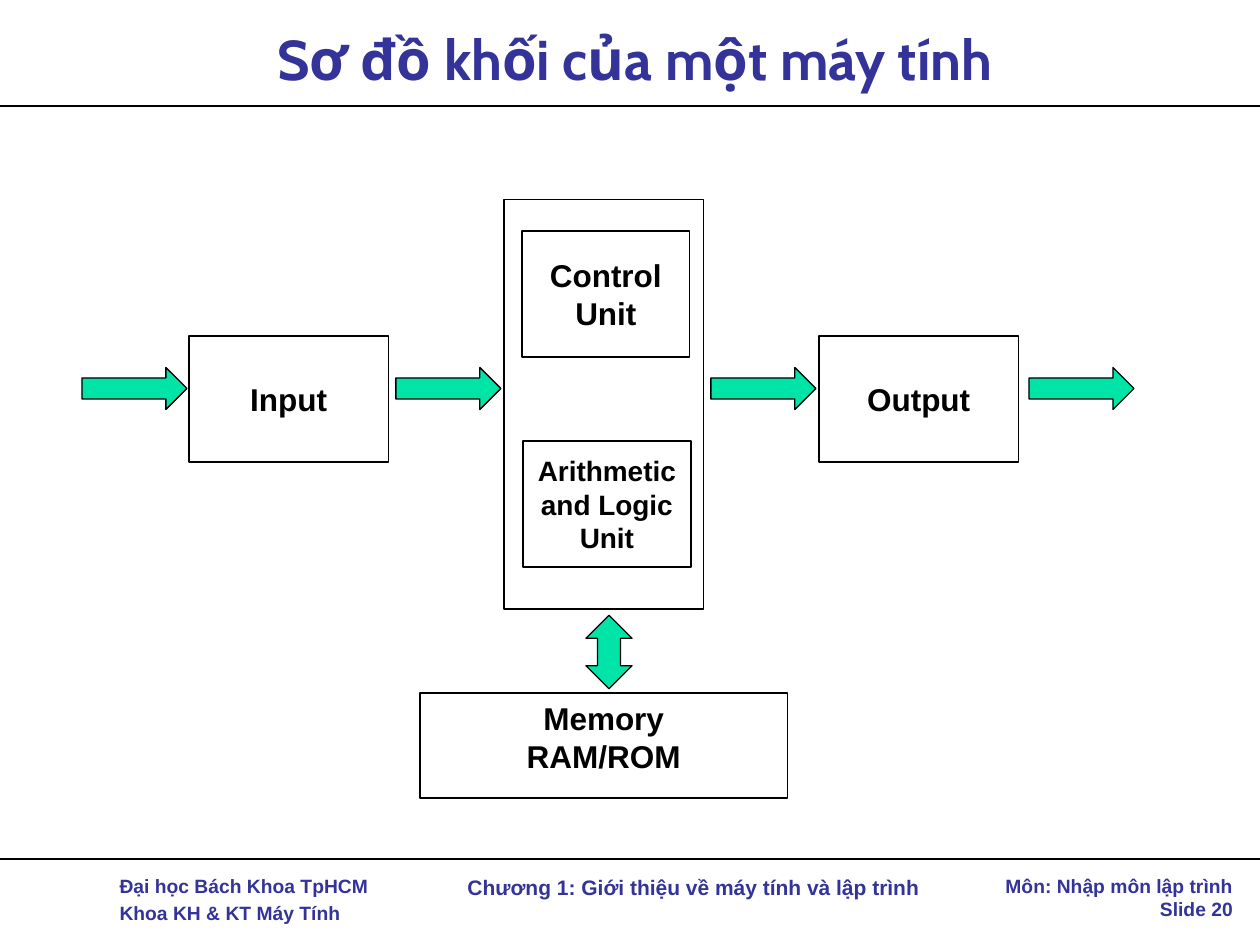
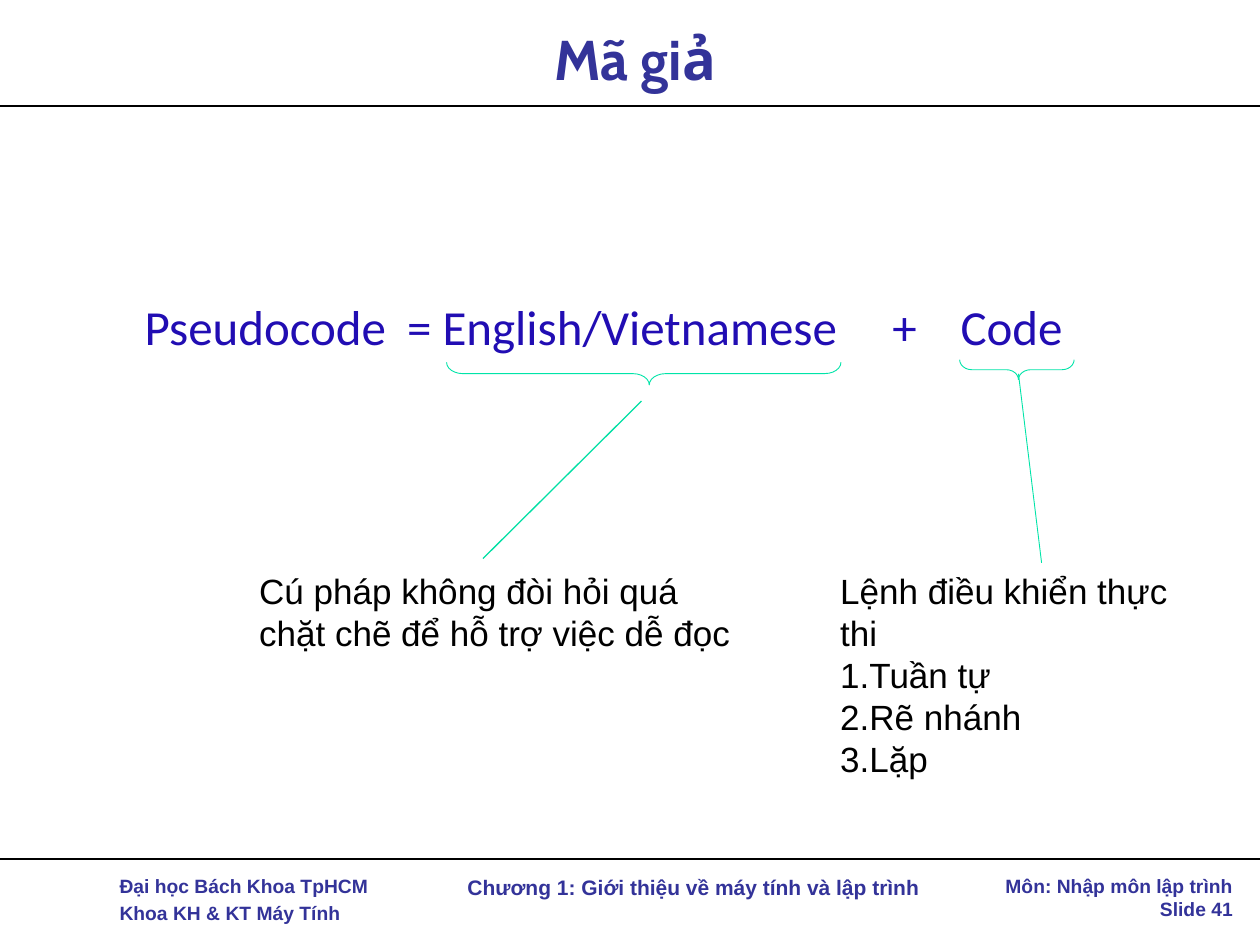
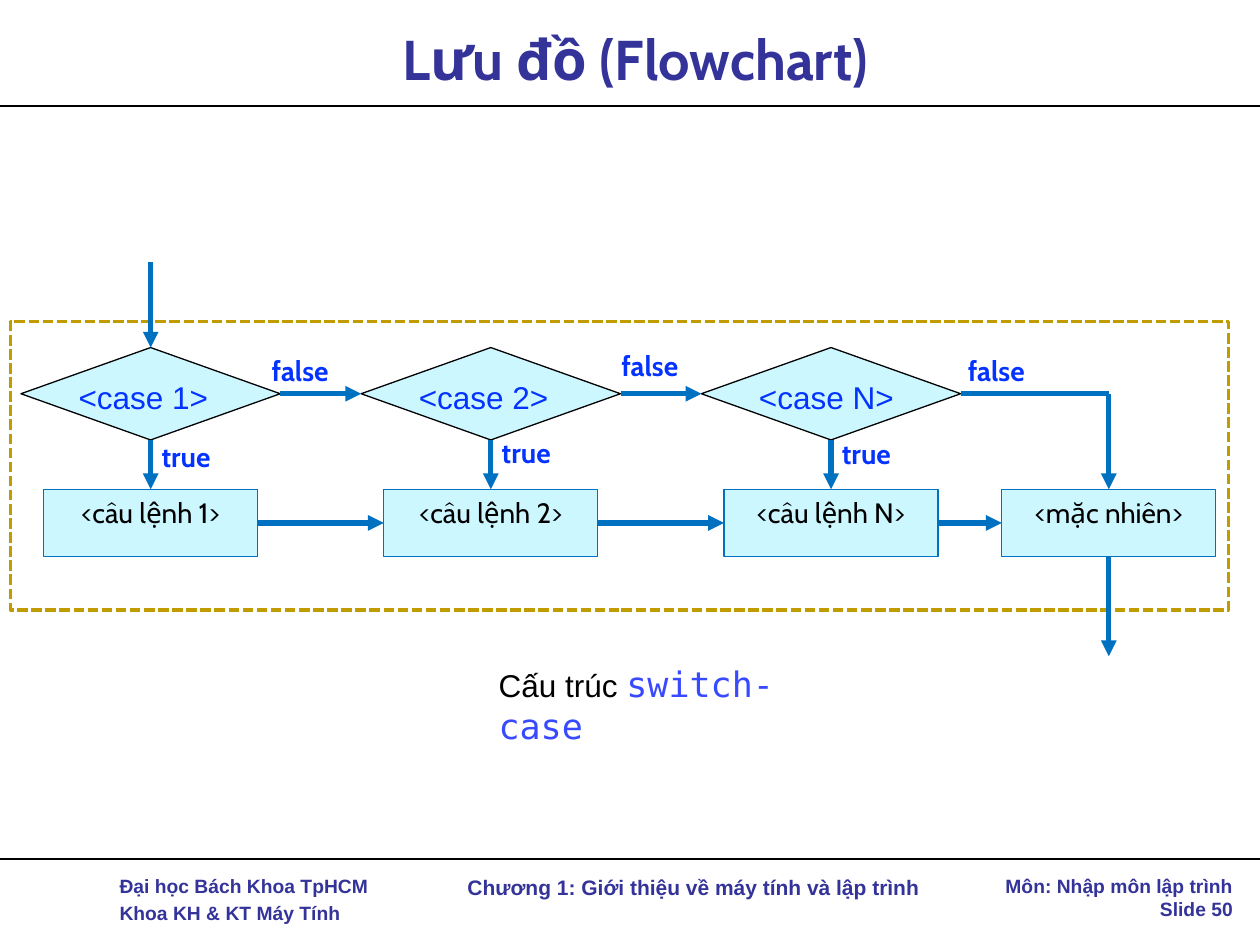
from dataclasses import dataclass

from pptx import Presentation
from pptx.dml.color import RGBColor
from pptx.enum.dml import MSO_LINE
from pptx.enum.shapes import MSO_CONNECTOR, MSO_SHAPE as SHAPE
from pptx.enum.text import MSO_ANCHOR as ANCHOR, PP_ALIGN as ALIGN
from pptx.oxml.ns import qn
from pptx.util import Inches, Pt
from lxml.etree import SubElement

# The slide is a grid of square cells, twelve to the inch
COLS, ROWS = 120, 90
CELL = Inches(1) // 12
TOP, LEFT, BOTTOM, RIGHT = range(4)


@dataclass(frozen=True)
class Style:
    size: float
    font: str
    color: str
    bold: bool = False


@dataclass(frozen=True)
class Theme:
    black: str = "000000"
    white: str = "FFFFFF"
    green: str = "00E4A8"
    deep_green: str = "00DFA4"
    pale_blue: str = "CCF7FF"
    flow_blue: str = "0070C0"
    gold: str = "C09C00"
    title: Style = Style(32, "Cabin", "333399", True)
    footer: Style = Style(11, "Arial", "333399", True)
    chapter: Style = Style(12, "Arial", "333399", True)
    block: Style = Style(18, "Arial", "000000", True)
    small_block: Style = Style(16, "Arial", "000000", True)
    equation: Style = Style(28, "Calibri", "210DB3")
    note: Style = Style(20, "Arial", "000000")
    step: Style = Style(16, "Cabin", "000000")
    branch: Style = Style(16, "Cabin", "0432FF", True)
    case: Style = Style(18, "Arial", "0432FF")
    caption: Style = Style(18, "Arial", "000000")
    code: Style = Style(20, "DejaVu Sans Mono", "384AFF")


THEME = Theme()


@dataclass(frozen=True)
class Box:
    left: float
    top: float
    width: float
    height: float

    def area(self, left, top, width, height):
        return Box(self.left + left, self.top + top, width, height)

    def point(self, across, down):
        return self.left + across, self.top + down

    def emu(self):
        return cells(self.left, self.top, self.width, self.height)


def cells(*counts):
    return [round(count * CELL) for count in counts]


# ---- Basic parts ----
def write(para, text, style):
    span = para.add_run()
    span.text = text
    span.font.size = Pt(style.size)
    span.font.name = style.font
    span.font.bold = style.bold
    span.font.color.rgb = RGBColor.from_string(style.color)


def fill_text(frame, lines, style, align=ALIGN.LEFT, anchor=ANCHOR.TOP):
    frame.word_wrap = True
    frame.vertical_anchor = anchor
    for index, line in enumerate(lines):
        para = frame.add_paragraph() if index else frame.paragraphs[0]
        para.alignment = align
        write(para, line, style)


def add_text(page, box, lines, style, **layout):
    frame = page.shapes.add_textbox(*box.emu()).text_frame
    fill_text(frame, lines, style, **layout)
    return frame


def add_outline(page, kind, box, line, weight=0.75, fill=None):
    shape = page.shapes.add_shape(kind, *box.emu())
    shape.shadow.inherit = False
    if fill:
        shape.fill.solid()
        shape.fill.fore_color.rgb = RGBColor.from_string(fill)
    else:
        shape.fill.background()
    shape.line.color.rgb = RGBColor.from_string(line)
    shape.line.width = Pt(weight)
    return shape


def add_line(page, start, end, color, weight, arrow=False):
    """Each end is a grid point or a (shape, side) pair."""
    line = page.shapes.add_connector(MSO_CONNECTOR.STRAIGHT, 0, 0, 0, 0)
    if hasattr(start[0], "shape_id"):
        line.begin_connect(*start)
    else:
        line.begin_x, line.begin_y = cells(*start)
    if hasattr(end[0], "shape_id"):
        line.end_connect(*end)
    else:
        line.end_x, line.end_y = cells(*end)
    line.line.color.rgb = RGBColor.from_string(color)
    line.line.width = Pt(weight)
    if arrow:
        SubElement(line.get_or_add_ln(), qn("a:tailEnd"), type="triangle")
    SubElement(line._element.spPr, qn("a:effectLst"))


# ---- Title, rules and footer of every slide ----
def add_page(deck, title, number):
    page = deck.slides.add_slide(deck.slide_layouts[6])
    for row in (81.84, 10.08):
        add_line(page, (0, row), (COLS, row), THEME.black, 1)
    add_text(page, Box(4, 1, 113, 9.1), [title], THEME.title,
             align=ALIGN.CENTER, anchor=ANCHOR.MIDDLE)

    footer = Box(0, 82.68, COLS, 6.1)
    school = add_text(page, footer.area(10.2, 0, 28, 6.1),
                      ["Đại học Bách Khoa TpHCM", "Khoa KH & KT Máy Tính"], THEME.footer)
    school.paragraphs[1].space_before = Pt(0.2 * THEME.footer.size)
    add_text(page, footer.area(38.16, 0, 55.8, 3.6),
             ["Chương 1: Giới thiệu về máy tính và lập trình"],
             THEME.chapter, align=ALIGN.CENTER)
    add_text(page, footer.area(94, 0, 24.6, 5.6),
             ["Môn: Nhập môn lập trình", f"Slide {number}"],
             THEME.footer, align=ALIGN.RIGHT)
    return page


# ---- Block diagram of a computer ----
def computer_diagram(page, box):
    middle, top = ANCHOR.MIDDLE, ANCHOR.TOP
    blocks = [
        ((12, 13, 19, 12), ["Input"], THEME.block, middle),
        ((42, 0, 19, 39), [], THEME.block, middle),
        ((72, 13, 19, 12), ["Output"], THEME.block, middle),
        ((34, 47, 35, 10), ["Memory", "RAM/ROM"], THEME.block, top),
        ((43.7, 3, 16, 12), ["Control", "Unit"], THEME.block, middle),
        ((43.8, 23, 16, 12), ["Arithmetic", "and Logic", "Unit"], THEME.small_block, middle),
    ]
    for place, lines, style, anchor in blocks:
        block = add_outline(page, SHAPE.RECTANGLE, box.area(*place), THEME.black, fill=THEME.white)
        fill_text(block.text_frame, lines, style, ALIGN.CENTER, anchor)

    # Data flow, left to right, then to and from memory
    flows = [(SHAPE.RIGHT_ARROW, (left, 16, 10, 4)) for left in (1.8, 31.7, 61.7, 92)]
    flows.append((SHAPE.UP_DOWN_ARROW, (49.8, 39.6, 4.4, 7)))
    for kind, place in flows:
        add_outline(page, kind, box.area(*place), THEME.black, fill=THEME.green)


# ---- Pseudocode equation with its notes ----
def add_brace(page, span, bend):
    """Draw a brace below a term, its point facing down."""
    across, down = span.width / 2, span.height / 2
    upright = span.area(across - down, down - across, span.height, span.width)
    brace = add_outline(page, SHAPE.LEFT_BRACE, upright, THEME.green, 0.5)
    brace.rotation = 270
    brace.adjustments[0], brace.adjustments[1] = bend, 0.514


def pseudocode_equation(page, box):
    equation = add_text(page, box.area(0.6, 0.6, 90.2, 6.8),
                        ["Pseudocode\t= English/Vietnamese\t+\tCode"], THEME.equation)
    tabs = SubElement(equation.paragraphs[0]._p.get_or_add_pPr(), qn("a:tabLst"))
    for stop in (25, 71.2, 77.7):
        SubElement(tabs, qn("a:tab"), pos=str(cells(stop)[0]), algn="l")

    add_brace(page, box.area(30.54, 7.5, 37.56, 2.16), 0.719)
    add_brace(page, box.area(79.4, 7.26, 10.9, 1.9), 0.611)
    add_line(page, box.point(49.1, 11.2), box.point(34, 26.2), THEME.deep_green, 0.75)
    add_line(page, box.point(85, 8.6), box.point(87.2, 26.6), THEME.green, 0.5)

    add_text(page, box.area(11.5, 26.64, 48.4, 9.2),
             ["Cú pháp không đòi hỏi quá chặt chẽ để hỗ trợ việc dễ đọc"], THEME.note)
    commands = add_text(page, box.area(66.84, 26.64, 37.9, 17.2),
                        ["Lệnh điều khiển thực thi", "Tuần tự", "Rẽ nhánh", "Lặp"], THEME.note)
    for para in commands.paragraphs[1:]:
        SubElement(para._p.get_or_add_pPr(), qn("a:buAutoNum"), type="arabicPeriod")


# ---- Flowchart of the switch-case structure ----
def switch_flowchart(page, box):
    def arrow(start, end, head=True):
        add_line(page, start, end, THEME.flow_blue, 3, head)

    def add_step(left, text):
        step = add_outline(page, SHAPE.RECTANGLE, box.area(left, 16, 20.4, 6.4),
                           THEME.flow_blue, fill=THEME.pale_blue)
        fill_text(step.text_frame, [text], THEME.step, ALIGN.CENTER)
        return step

    frame = add_outline(page, SHAPE.RECTANGLE, box, THEME.gold, 2)
    frame.line.dash_style = MSO_LINE.SQUARE_DOT

    # One column per case: name, top of "true", left and top of "false"
    cases = [("1", 10.7, 22.7, 2.5), ("2", 10.3, 23.6, 2), ("N", 10.4, 24.2, 2.5)]
    tests, steps = [], []
    for index, (name, true_top, false_left, false_top) in enumerate(cases):
        left = 1 + 32.4 * index
        test = add_outline(page, SHAPE.DIAMOND, box.area(left, 2.5, 24.7, 8.8),
                           THEME.black, fill=THEME.pale_blue)
        step = add_step(left + 2.15, f"<câu lệnh {name}>")
        add_text(page, box.area(left + 4.3, 4.8, 15.7, 4.8), [f"<case {name}>"], THEME.case)
        arrow((test, BOTTOM), (step, TOP))
        add_text(page, box.area(left + 12.2, true_top, 8, 4.4), ["true"], THEME.branch)
        add_text(page, box.area(left + false_left, false_top, 8.9, 4.4), ["false"], THEME.branch)
        tests.append(test)
        steps.append(step)

    # Default branch, reached from the last test
    default = add_step(94.4, "<mặc nhiên>")
    steps.append(default)
    corner = box.point(104.6, 6.9)
    arrow((tests[-1], RIGHT), corner, head=False)
    arrow(corner, (default, TOP))

    # Links along each row, way in and way out
    for row in (tests, steps):
        for before, after in zip(row, row[1:]):
            arrow((before, RIGHT), (after, LEFT))
    arrow(box.point(13.35, -5.6), (tests[0], TOP))
    arrow((default, BOTTOM), box.point(104.6, 31.9))

    caption = add_text(page, box.area(45.3, 31.9, 34.9, 5.3), ["Cấu trúc "], THEME.caption)
    write(caption.paragraphs[0], "switch-case", THEME.code)


def main():
    deck = Presentation()
    deck.slide_width, deck.slide_height = cells(COLS, ROWS)
    computer_diagram(add_page(deck, "Sơ đồ khối của một máy tính", 20), Box(6, 19, 102, 57))
    pseudocode_equation(add_page(deck, "Mã giả", 41), Box(12, 27, 105, 45))
    switch_flowchart(add_page(deck, "Lưu đồ (Flowchart)", 50), Box(1, 30.6, 116, 27.5))
    deck.save("out.pptx")


if __name__ == "__main__":
    main()
